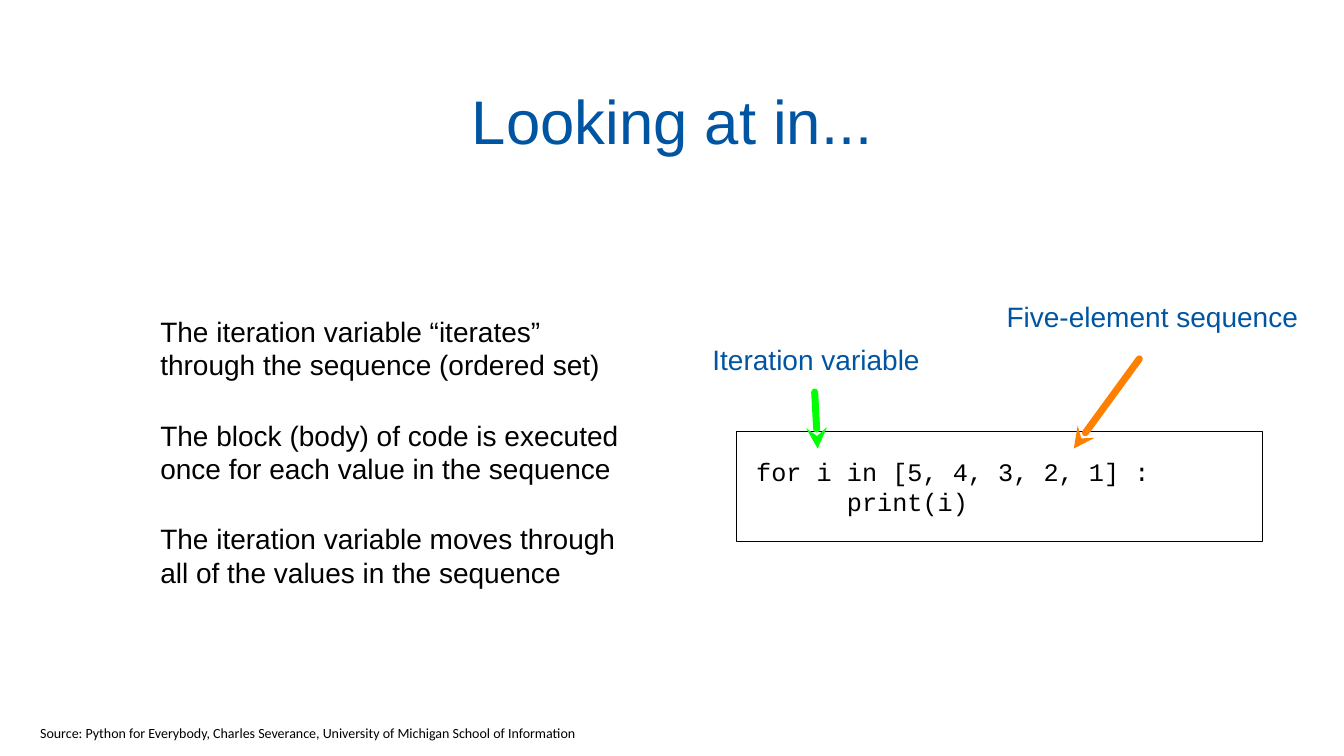
"""Build a slide that explains the "in" keyword of a for loop."""
from dataclasses import dataclass

from lxml import etree
from pptx import Presentation
from pptx.dml.color import RGBColor
from pptx.enum.shapes import MSO_CONNECTOR, MSO_SHAPE
from pptx.enum.text import MSO_ANCHOR, PP_ALIGN
from pptx.oxml.ns import qn
from pptx.util import Inches, Pt

STRAIGHT = MSO_CONNECTOR.STRAIGHT
RECTANGLE = MSO_SHAPE.RECTANGLE
MIDDLE, TOP = MSO_ANCHOR.MIDDLE, MSO_ANCHOR.TOP
CENTER, LEFT = PP_ALIGN.CENTER, PP_ALIGN.LEFT


@dataclass(frozen=True)
class Theme:
    """Colours, fonts and type sizes of the slide."""
    blue: RGBColor = RGBColor(0x00, 0x55, 0xA2)
    black: RGBColor = RGBColor(0x00, 0x00, 0x00)
    green: RGBColor = RGBColor(0x00, 0xFF, 0x00)
    orange: RGBColor = RGBColor(0xFF, 0x7F, 0x00)
    sans: str = "Arial"
    mono: str = "Courier New"
    source: str = "Calibri"
    title_size: float = 44
    text_size: float = 20
    code_size: float = 18
    source_size: float = 10
    paragraph_gap: float = 26.2
    border_width: float = 0.75
    arrow_width: float = 5


THEME = Theme()


@dataclass(frozen=True)
class Line:
    """One paragraph and its left indent in inches."""
    text: str
    indent: float = 0


@dataclass(frozen=True)
class TextBlock:
    """A box of text, with lengths in inches."""
    left: float
    top: float
    width: float
    height: float
    lines: tuple[Line, ...]
    size: float = THEME.text_size
    font: str = THEME.sans
    color: RGBColor = THEME.blue
    align: PP_ALIGN = CENTER
    anchor: MSO_ANCHOR = MIDDLE
    margins: tuple[float, float] = (0, 0)
    gap: float = 0
    wrap: bool = True
    bordered: bool = False


@dataclass(frozen=True)
class Arrow:
    """An arrow from a label to the code, with points in inches."""
    start: tuple[float, float]
    end: tuple[float, float]
    color: RGBColor


BODY_INDENT = 0.61
CODE_INDENT = 0.2
LOOP_BODY_INDENT = 1.1

BLOCKS = (
    TextBlock(0.67, 0.63, 12, 1.12, (Line("Looking at in..."),),
              size=THEME.title_size, margins=(0.03, 0.03)),
    TextBlock(0.95, 2.14, 5.24, 4.68, (
        Line("The iteration variable “iterates” through the sequence (ordered set)", BODY_INDENT),
        Line("The block (body) of code is executed once for each value in the sequence", BODY_INDENT),
        Line("The iteration variable moves through all of the values in the sequence", BODY_INDENT),
    ), color=THEME.black, align=LEFT, margins=(0.03, 0.03), gap=THEME.paragraph_gap),
    TextBlock(7.3, 4.28, 5.22, 1.09, (
        Line("for i in [5, 4, 3, 2, 1] :", CODE_INDENT),
        Line("print(i)", LOOP_BODY_INDENT),
    ), size=THEME.code_size, font=THEME.mono, color=THEME.black, align=LEFT, bordered=True),
    TextBlock(6.68, 3.31, 2.83, 0.51, (Line("Iteration variable"),)),
    TextBlock(9.8, 2.71, 3.26, 0.85, (Line("Five-element sequence"),)),
    TextBlock(0.3, 7.14, 5.6, 0.27, (
        Line("Source: Python for Everybody, Charles Severance, "
             "University of Michigan School of Information"),
    ), size=THEME.source_size, font=THEME.source, color=THEME.black, align=LEFT,
        anchor=TOP, margins=(0.1, 0.05), wrap=False),
)

ARROWS = (
    Arrow((8.08, 3.89), (8.11, 4.45), THEME.green),
    Arrow((11.3, 3.56), (10.65, 4.45), THEME.orange),
)


def draw_block(slide, block: TextBlock) -> None:
    """Draw a text block, as a bordered rectangle when asked."""
    place = [Inches(length) for length in (block.left, block.top, block.width, block.height)]
    if block.bordered:
        shape = slide.shapes.add_shape(RECTANGLE, *place)
        shape.shadow.inherit = False
        shape.fill.background()
        shape.line.color.rgb = THEME.black
        shape.line.width = Pt(THEME.border_width)
    else:
        shape = slide.shapes.add_textbox(*place)
    frame = shape.text_frame
    frame.word_wrap = block.wrap
    frame.vertical_anchor = block.anchor
    horizontal, vertical = (Inches(margin) for margin in block.margins)
    frame.margin_left = frame.margin_right = horizontal
    frame.margin_top = frame.margin_bottom = vertical
    for index, line in enumerate(block.lines):
        paragraph = frame.add_paragraph() if index else frame.paragraphs[0]
        paragraph.alignment = block.align
        paragraph.space_before = Pt(block.gap if index else 0)
        properties = paragraph._p.get_or_add_pPr()
        properties.set("marL", str(Inches(line.indent)))
        properties.set("indent", "0")
        run = paragraph.add_run()
        run.text = line.text
        run.font.size = Pt(block.size)
        run.font.name = block.font
        run.font.color.rgb = block.color


def draw_arrow(slide, arrow: Arrow) -> None:
    """Draw a round-capped line with a stealth arrowhead at its end."""
    points = [Inches(length) for length in arrow.start + arrow.end]
    connector = slide.shapes.add_connector(STRAIGHT, *points)
    connector.line.color.rgb = arrow.color
    connector.line.width = Pt(THEME.arrow_width)
    outline = connector.line._get_or_add_ln()
    outline.set("cap", "rnd")
    etree.SubElement(outline, qn("a:round"))
    etree.SubElement(outline, qn("a:tailEnd"), type="stealth")
    etree.SubElement(connector._element.spPr, qn("a:effectLst"))


def main() -> None:
    """Build and save the presentation."""
    presentation = Presentation()
    presentation.slide_width = Inches(13.33)
    presentation.slide_height = Inches(7.5)
    slide = presentation.slides.add_slide(presentation.slide_layouts[6])
    for block in BLOCKS:
        draw_block(slide, block)
    for arrow in ARROWS:
        draw_arrow(slide, arrow)
    presentation.save("out.pptx")


if __name__ == "__main__":
    main()
